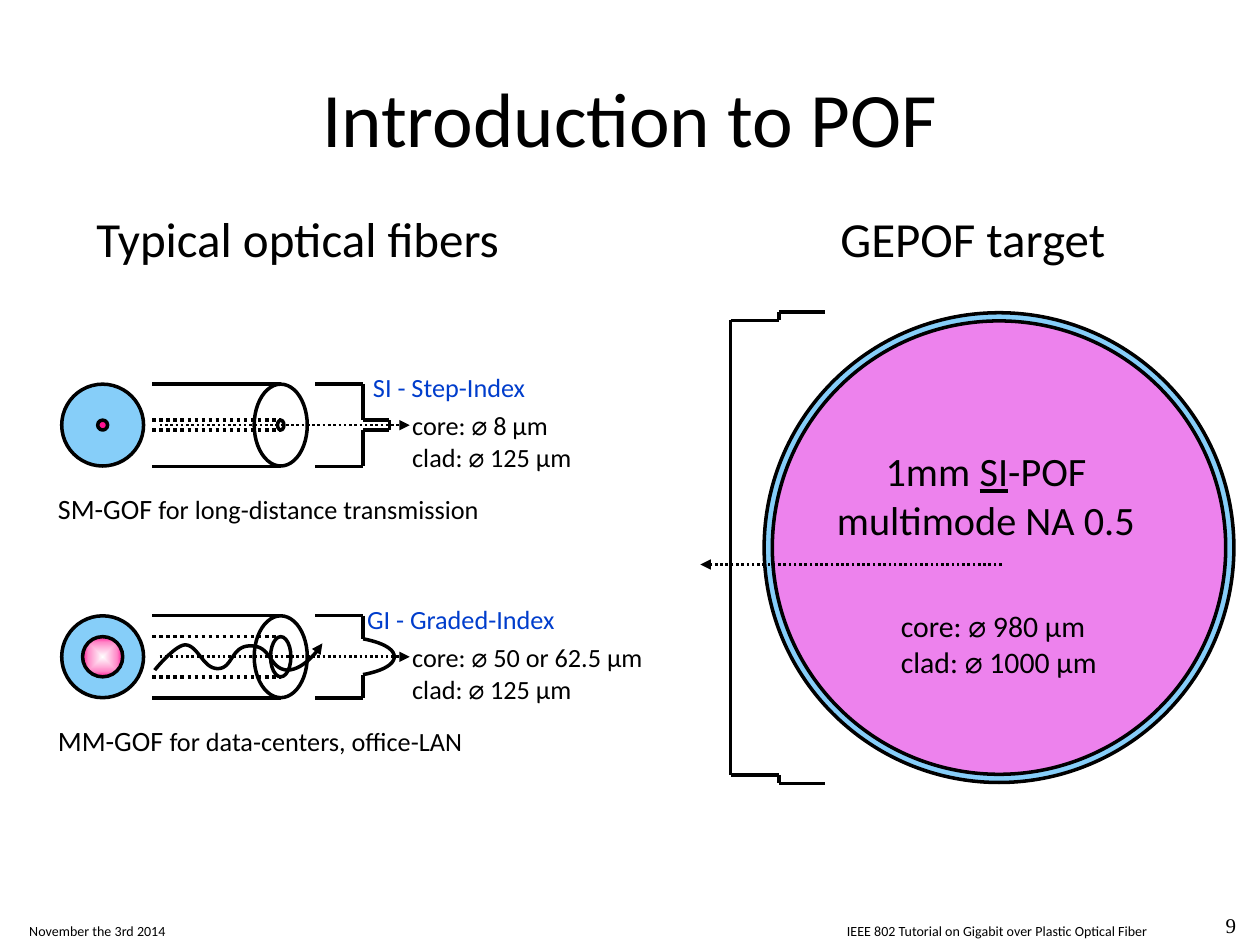
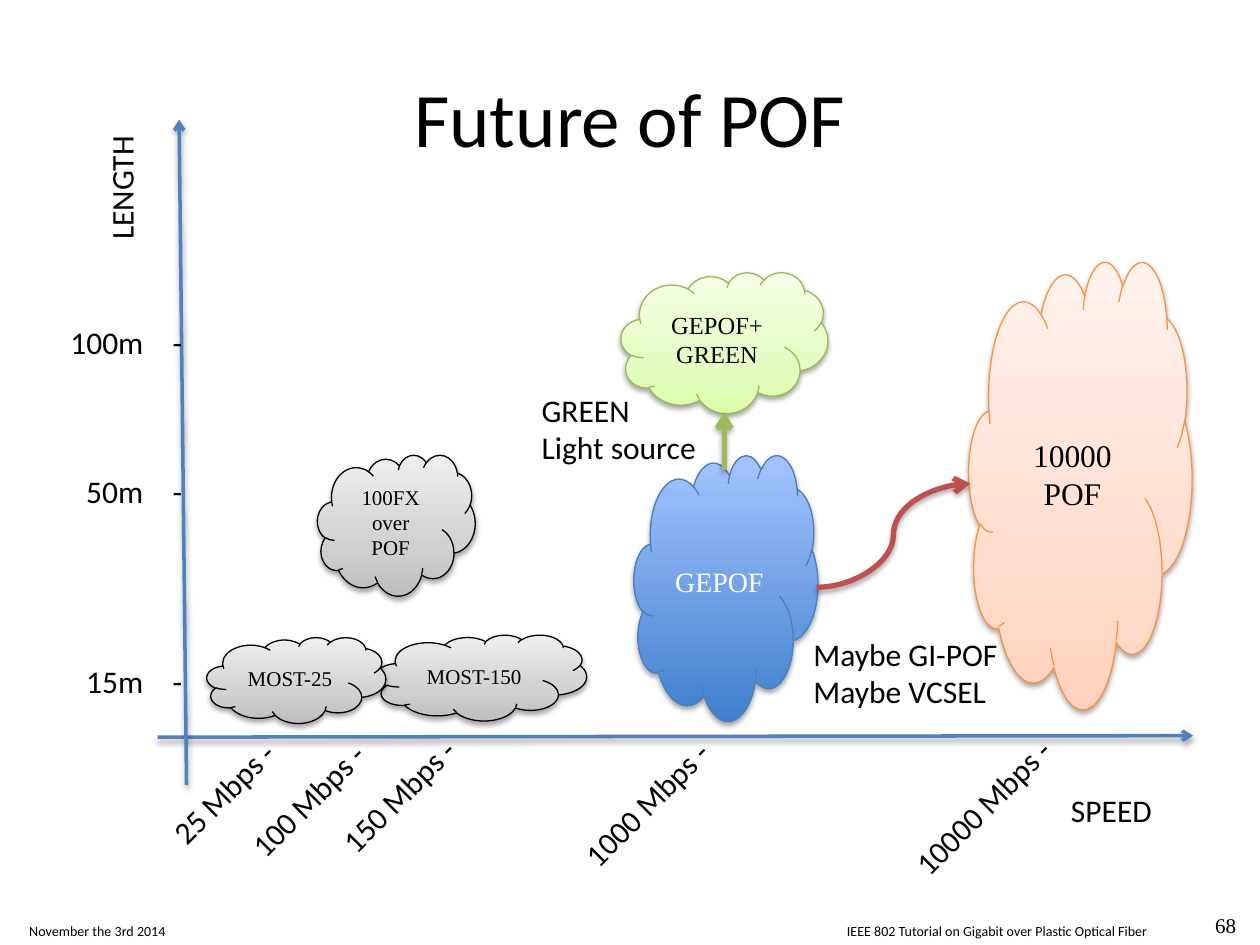
from itertools import pairwise
from lxml import etree
from pptx import Presentation
from pptx.dml.color import RGBColor
from pptx.enum.dml import MSO_LINE
from pptx.enum.shapes import MSO_CONNECTOR, MSO_SHAPE
from pptx.enum.text import MSO_ANCHOR, PP_ALIGN
from pptx.oxml import parse_xml
from pptx.oxml.ns import nsdecls, qn
from pptx.util import Cm, Pt

LEFT, MID, RIGHT = PP_ALIGN.LEFT, PP_ALIGN.CENTER, PP_ALIGN.RIGHT
TOP, CENTER, BASE = MSO_ANCHOR.TOP, MSO_ANCHOR.MIDDLE, MSO_ANCHOR.BOTTOM
OVAL, CLOUD = MSO_SHAPE.OVAL, MSO_SHAPE.CLOUD
LINE, CURVE = MSO_CONNECTOR.STRAIGHT, MSO_CONNECTOR.CURVE
DOTS = MSO_LINE.ROUND_DOT

SANS, SERIF = "Calibri", "Times New Roman"
BLACK, WHITE, LINK = "000000", "FFFFFF", "003DCC"
CLAD, CORE, PINK = "86CEF9", "ED82ED", "FF1392"
AXIS, RED, GREEN = "4F81BD", "C0504D", "9BBB59"

DATE = "November the 3rd 2014"
EVENT = "IEEE 802 Tutorial on Gigabit over Plastic Optical Fiber"

GLOW = [(0, WHITE), (72, "FF89C8"), (100, PINK)]
FIBERS = [
    dict(y=13.24, core=0.81, slit=0.41, fill=GLOW, name="MM-GOF ",
         use="for data-centers, office-LAN", kind="GI - Graded-Index", kind_x=7.4,
         specs=["core: ⌀ 50 or 62.5 μm", "clad: ⌀ 125 μm"]),
    dict(y=8.57, core=0.2, slit=0.13, fill=PINK, name="SM-GOF ",
         use="for long-distance transmission", kind="SI - Step-Index", kind_x=7.52,
         specs=["core: ⌀ 8 μm", "clad: ⌀ 125 μm"]),
]
WAVE = [(3.12, 0.27), (3.12, 0.27), (3.51, -0.22), (3.73, -0.24),
        (3.99, -0.24), (4.09, 0.24), (4.39, 0.24),
        (4.7, 0.24), (4.65, -0.22), (5.05, -0.22),
        (5.49, -0.22), (5.41, 0.24), (5.79, 0.27),
        (6.15, 0.27), (6.48, -0.22), (6.5, -0.27)]
BELL = [(7.32, -0.36), (7.32, -0.36), (7.95, -0.26), (7.95, 0),
        (7.95, 0.26), (7.32, 0.36), (7.32, 0.36)]
HEADS = [("Typical optical fibers", 1.86, 8.28), ("GEPOF target", 16.89, 5.44)]

GREY = ([(0, "BDBDBD"), (35, "D1D1D1"), (100, "EEEEEE")], BLACK)
BLUE = ([(0, "3F80CD"), (100, "A4C4FF")], "4B7EBC")
LIME = ([(0, "DAFDA7"), (35, "E4FCC2"), (100, "F5FFE7")], "98B955")
PEACH = ([(0, "FFD2BD"), (35, "FFDED0"), (100, "FFF2ED")], "F69240")
CLOUDS = [
    (["MOST-150"], (7.59, 12.8, 4.24, 1.73), GREY, 12, BLACK),
    (["100FX", "over POF"], (6.4, 9.17, 3.18, 2.84), GREY, 12, BLACK),
    (["MOST-25"], (4.17, 12.85, 3.61, 1.73), GREY, 12, BLACK),
    (["GEPOF"], (12.78, 9.17, 3.71, 5.36), BLUE, 16, WHITE),
    (["GEPOF+ GREEN"], (12.52, 5.49, 4.17, 2.84), LIME, 14, BLACK),
    (["10000", "POF"], (19.53, 5.26, 4.5, 9.02), PEACH, 18, BLACK),
]
RANGES = [("15m", 13.23), ("50m", 9.4), ("100m", 6.38)]
SPEEDS = [("25", 4.5, 15.98), ("100", 6.2, 16.13), ("150", 8.03, 16.03),
          ("1000", 13.03, 16.2), ("10000", 19.81, 16.26)]
NOTES = [(["Maybe GI-POF", "Maybe VCSEL"], (16.15, 12.67, 4.27, 1.8)),
         (["GREEN", "Light source"], (10.67, 7.75, 3.66, 1.8))]


def rgb(code):
    """Turn a hex string into a colour."""
    return RGBColor.from_string(code)


def write(frame, lines, size, color=BLACK, align=LEFT, font=SANS):
    """Fill a text frame; a line is a string or a list of (text, font changes)."""
    for i, line in enumerate(lines):
        para = frame.paragraphs[0] if i == 0 else frame.add_paragraph()
        para.alignment = align
        for words, changes in [(line, {})] if isinstance(line, str) else line:
            run = para.add_run()
            run.text = words
            run.font.name, run.font.size = font, Pt(size)
            run.font.color.rgb = rgb(color)
            for key, value in changes.items():
                setattr(run.font, key, value)


def label(slide, box, lines, size, anchor=BASE, pad=0, wrap=False, turn=0, **style):
    """Add a text box."""
    shape = slide.shapes.add_textbox(*map(Cm, box))
    shape.rotation = turn
    frame = shape.text_frame
    frame.word_wrap, frame.vertical_anchor = wrap, anchor
    frame.margin_left = frame.margin_right = Cm(pad)
    frame.margin_top = frame.margin_bottom = Cm(pad / 2)
    write(frame, lines, size, **style)
    return shape


def shade(shape):
    """Give a shape or connector a soft drop shadow."""
    shape._element.spPr.find(qn("a:effectLst")).append(parse_xml(
        f'<a:outerShdw {nsdecls("a")} blurRad="38100" dist="22860" dir="5400000" '
        'rotWithShape="0"><a:srgbClr val="000000"><a:alpha val="35000"/>'
        '</a:srgbClr></a:outerShdw>'))


def blend(shape, stops, round=False):
    """Fill a shape with a gradient, upward or from its centre."""
    marks = "".join(f'<a:gs pos="{at * 1000}"><a:srgbClr val="{code}"/></a:gs>'
                    for at, code in stops)
    way = ('<a:path path="rect"><a:fillToRect l="50000" t="50000" r="50000" '
           'b="50000"/></a:path>' if round else '<a:lin ang="16200000" scaled="0"/>')
    shape.fill.background()
    props = shape._element.spPr
    props.replace(props.find(qn("a:noFill")), parse_xml(
        f'<a:gradFill {nsdecls("a")} rotWithShape="1"><a:gsLst>{marks}</a:gsLst>'
        f'{way}</a:gradFill>'))


def stroke(item, color=BLACK, width=2, dash=None, tip=None):
    """Style a line and its arrowhead."""
    item.line.color.rgb, item.line.width = rgb(color), Pt(width)
    if dash:
        item.line.dash_style = dash
    if tip:
        etree.SubElement(item.line._get_or_add_ln(), qn("a:tailEnd"), type=tip)


def link(slide, start, end, kind=LINE, **style):
    """Draw a connector between two points."""
    item = slide.shapes.add_connector(kind, *map(Cm, start + end))
    stroke(item, **style)
    etree.SubElement(item._element.spPr, qn("a:effectLst"))
    return item


def chain(slide, points):
    """Draw lines from point to point."""
    for start, end in pairwise(points):
        link(slide, start, end)


def oval(slide, x, y, wide, high, fill=None):
    """Draw an ellipse around its centre."""
    shape = slide.shapes.add_shape(
        OVAL, Cm(x - wide / 2), Cm(y - high / 2), Cm(wide), Cm(high))
    shape.shadow.inherit = False
    if isinstance(fill, list):
        blend(shape, fill, round=True)
    elif fill:
        shape.fill.solid()
        shape.fill.fore_color.rgb = rgb(fill)
    else:
        shape.fill.background()
    stroke(shape)


def curve(slide, knots, y, tip=None):
    """Draw a smooth open outline through cubic segments."""
    dots = []
    for i in range(0, len(knots) - 1, 3):
        for t in (n / 16 for n in range(17)):
            parts = ((1 - t) ** 3, 3 * t * (1 - t) ** 2, 3 * t * t * (1 - t), t ** 3)
            px, py = (sum(p * k[axis] for p, k in zip(parts, knots[i:i + 4]))
                      for axis in (0, 1))
            dots.append((Cm(px), Cm(y + py)))
    pen = slide.shapes.build_freeform(*dots[0])
    pen.add_line_segments(dots[1:], close=False)
    shape = pen.convert_to_shape()
    shape.shadow.inherit = False
    shape.fill.background()
    stroke(shape, tip=tip)


def start(deck, title, page):
    """Add a slide with its title and footer."""
    slide = deck.slides.add_slide(deck.slide_layouts[5])
    head = slide.shapes.title
    head.left, head.top, head.width, head.height = map(Cm, (1.27, 0.25, 22.86, 4.19))
    head.text_frame.vertical_anchor = CENTER
    write(head.text_frame, [title], 44, align=MID)
    label(slide, (0.46, 18.47, 4, 0.61), [DATE], 8, CENTER, 0.13, True)
    label(slide, (14.4, 18.47, 8.87, 0.61), [EVENT], 8, CENTER, 0.13, True, align=RIGHT)
    label(slide, (22.48, 18.29, 2.59, 0.74), [page], 12, CENTER, 0.15, True,
          align=RIGHT, font=SERIF)
    return slide


def fiber(slide, data):
    """Draw one glass fiber: section, tube, index profile and texts."""
    y, core = data["y"], data["core"]
    half, edge = core / 2, 0.83
    oval(slide, 2.07, y, 1.65, 1.65, CLAD)
    oval(slide, 2.07, y, core, core, data["fill"])
    oval(slide, 5.66, y, 1.07, 1.65)
    oval(slide, 5.66, y, data["slit"], core)
    graded = data["fill"] == GLOW
    for side in (-1, 1):
        link(slide, (3.07, y + side * edge), (5.66, y + side * edge))
        link(slide, (3.07, y + side * half), (5.66, y + side * half), dash=DOTS)
        neck = y + side * (0.36 if graded else half)
        path = [(6.35, y + side * edge), (7.32, y + side * edge), (7.32, neck)]
        chain(slide, path if graded else path + [(7.85, neck), (7.85, y)])
    if graded:
        curve(slide, WAVE, y, "triangle")
        curve(slide, BELL, y)
    link(slide, (3.22, y), (8.26, y), width=1.5, dash=DOTS, tip="triangle")
    name = [(data["name"], {"size": Pt(16)}), (data["use"], {})]
    label(slide, (1.17, y + 1.13, 10.82, 0.89), [name], 15, wrap=True)
    label(slide, (8.31, y - 0.72, 5.03, 1.68), data["specs"], 15, wrap=True)
    label(slide, (data["kind_x"], y - 1.09, 4.2, 0.64), [data["kind"]], 15,
          wrap=True, color=LINK)


def intro(deck):
    """Build the slide comparing glass fibers with the target fiber."""
    slide = start(deck, "Introduction to POF", "9")
    for data in FIBERS:
        fiber(slide, data)
    x, y = 20.14, 11.04
    oval(slide, x, y, 9.47, 9.47, CLAD)
    oval(slide, x, y, 9.14, 9.14, CORE)
    for side in (-1, 1):
        inner, outer = y + side * 4.58, y + side * 4.75
        chain(slide, [(14.73, y), (14.73, inner), (15.7, inner), (15.7, outer),
                      (16.64, outer)])
    label(slide, (18.16, 11.86, 4.17, 1.83), ["core: ⌀ 980 μm", "clad: ⌀ 1000 μm"], 17)
    link(slide, (20.19, 11.38), (14.12, 11.38), width=1.5, dash=DOTS, tip="triangle")
    kind = [("1mm ", {}), ("SI", {"underline": True}), ("-POF multimode NA 0.5", {})]
    label(slide, (16.64, 7.77, 6.48, 3.18), [kind], 23, wrap=True, align=MID)
    for words, left, wide in HEADS:
        label(slide, (left, 4.19, wide, 1.19), [words], 28, align=MID)


def future(deck):
    """Build the chart-like slide of length against speed."""
    slide = start(deck, "Future of POF", "68")
    for begin, end in (((3.18, 14.86), (24.05, 14.83)), ((3.76, 15.82), (3.61, 2.41))):
        shade(link(slide, begin, end, color=AXIS, tip="arrow"))
    label(slide, (0.69, 3.28, 3.5, 1.02), ["LENGTH"], 18, CENTER, wrap=True, turn=270,
          align=MID)
    label(slide, (21.34, 15.82, 2.16, 1.02), ["SPEED"], 18, TOP, 0.25)
    for lines, box, (stops, edge), size, color in CLOUDS:
        cloud = slide.shapes.add_shape(CLOUD, *map(Cm, box))
        cloud.shadow.inherit = False
        blend(cloud, stops)
        stroke(cloud, edge, 0.75)
        shade(cloud)
        cloud.text_frame.word_wrap = True
        cloud.text_frame.vertical_anchor = CENTER
        write(cloud.text_frame, lines, size, color, MID, SERIF)
    for far, top in RANGES:
        mark = label(slide, (1.17, top, 2.77, 1.02), [f"\t{far}\t-"], 18, TOP, 0.25, True)
        props = mark.text_frame.paragraphs[0]._p.get_or_add_pPr()
        tabs = etree.SubElement(props, qn("a:tabLst"))
        for at, side in ((1.47, "r"), (2.06, "l")):
            etree.SubElement(tabs, qn("a:tab"), pos=str(Cm(at)), algn=side)
    for rate, x, y in SPEEDS:
        label(slide, (x - 2.05, y - 0.51, 4.1, 1.02), [f"{rate} Mbps -"], 18, CENTER,
              wrap=True, turn=315, align=MID)
    shade(link(slide, (16.46, 11.84), (19.56, 9.75), CURVE, color=RED, width=3,
               tip="arrow"))
    shade(link(slide, (14.6, 9.47), (14.6, 8.31), color=GREEN, width=3, tip="arrow"))
    for lines, box in NOTES:
        label(slide, box, lines, 18, TOP, 0.25)


def main():
    """Build and save the deck."""
    deck = Presentation()
    deck.slide_width, deck.slide_height = Cm(25.4), Cm(19.05)
    intro(deck)
    future(deck)
    deck.save("out.pptx")


if __name__ == "__main__":
    main()
